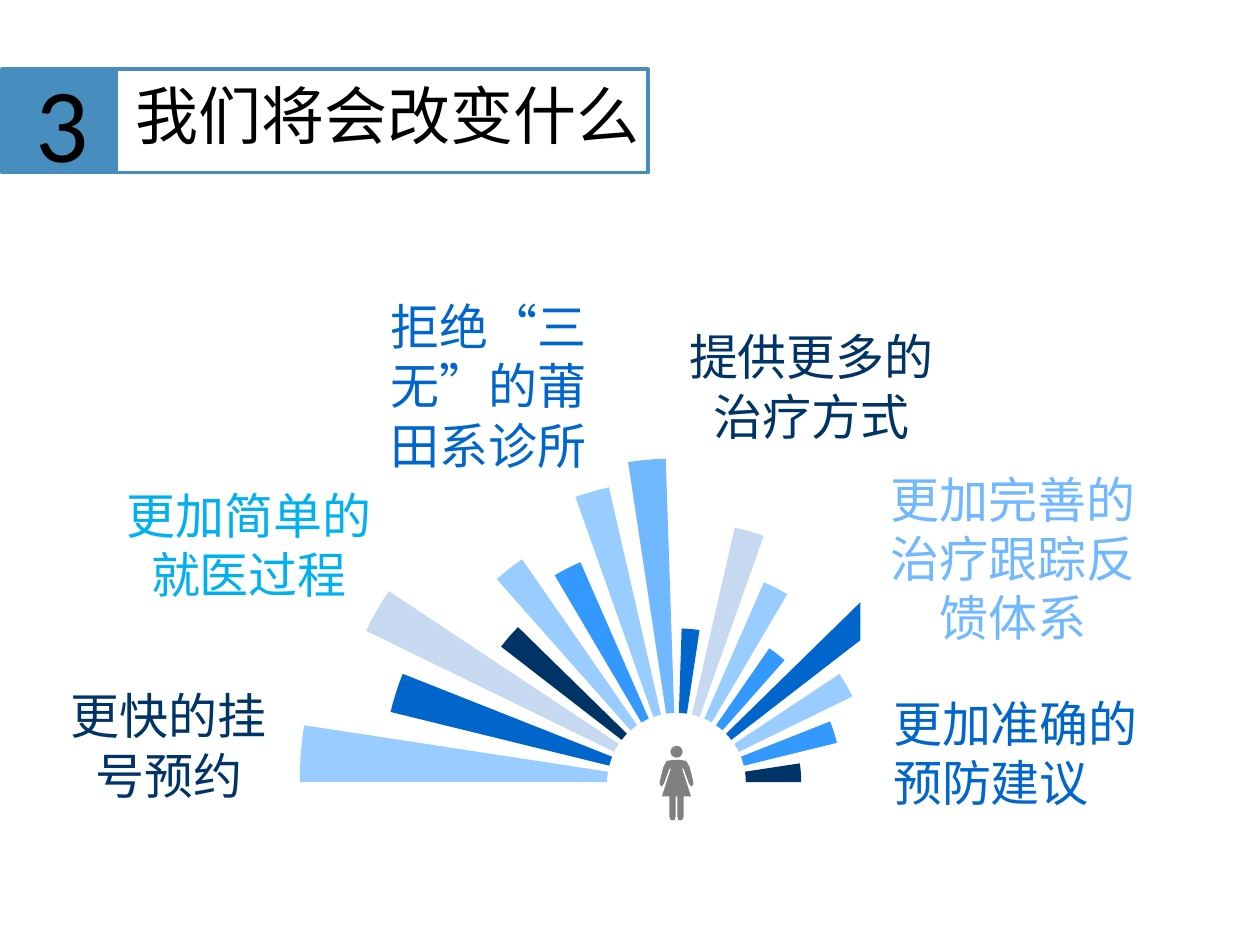
"""Build the slide on what will change, with a fan of rays around a figure."""
from math import cos, radians, sin

from lxml.etree import SubElement
from pptx import Presentation
from pptx.dml.color import RGBColor
from pptx.enum.shapes import MSO_SHAPE
from pptx.enum.text import PP_ALIGN
from pptx.oxml.ns import qn
from pptx.util import Pt

CJK = "Noto Sans CJK SC"
NAVY, BLUE, AZURE = "003366", "0066CC", "3399FF"
SKY, LIGHT, PALE = "70B8FF", "99CCFF", "C6D9F1"
CYAN, STEEL, GRAY, BLACK = "00B0F0", "478DBE", "808080", "000000"


def color(fmt, code):
    fmt.solid()
    fmt.fore_color.rgb = RGBColor.from_string(code)


def outline(points, code):
    dots = [(Pt(x), Pt(y)) for x, y in points]
    pen = shapes.build_freeform(*dots[0], scale=1.0)
    pen.add_line_segments(dots[1:], close=True)
    form = pen.convert_to_shape()
    form.shadow.inherit = False
    color(form.fill, code)
    form.line.fill.background()


deck = Presentation()
deck.slide_width, deck.slide_height = Pt(720), Pt(540)
slide = deck.slides.add_slide(deck.slide_layouts[6])
shapes = slide.shapes

for left, width, solid in [(1.4, 64.8, True), (56.9, 313.2, False)]:
    bar = shapes.add_shape(MSO_SHAPE.RECTANGLE, Pt(left), Pt(39.6), Pt(width), Pt(59))
    bar.shadow.inherit = False
    if solid:
        color(bar.fill, STEEL)
    else:
        bar.fill.background()
    color(bar.line.fill, STEEL)
    bar.line.width = Pt(2.25)

mid, base, inner, edge = 386.6, 447, 39.6, 105.1
spans = [(0, 8.7), (13.8, 21.6), (26, 33.6), (37.7, 44.4),
         (48.5, 55.3), (59.5, 66.4), (70.5, 77.1), (81.4, 88.1)]
spans += [(180 - end, 180 - start) for start, end in reversed(spans)]
rays = [(215.3, LIGHT), (168.3, BLUE), (197.4, PALE), (126.7, NAVY),
        (155, LIGHT), (137.2, AZURE), (172.9, LIGHT), (185, SKY),
        (87.9, BLUE), (149.3, PALE), (124.7, LIGHT), (93.1, AZURE),
        (150, BLUE), (111.8, LIGHT), (94.4, AZURE), (71.3, NAVY)]
for (start, end), (outer, code) in zip(spans, rays):
    turns = [radians(start + (end - start) * step / 4) for step in range(5)]
    ring = [(inner, turn) for turn in turns]
    ring += [(outer, turn) for turn in reversed(turns)]
    outline([(mid - max(size * cos(turn), -edge),
              base - size * sin(turn) * min(1, edge / max(-size * cos(turn), 1)))
             for size, turn in ring], code)

half = [(1.8, 434.2), (5.6, 434.8), (7.6, 438.5), (9.7, 447.2), (9.4, 448.7),
        (8.3, 449.3), (7.2, 447.8), (4, 439.2), (3.2, 439.2), (8.3, 455),
        (4.1, 455), (4.1, 466.6), (3.4, 468.4), (2.2, 468.8), (1, 468.4),
        (0.5, 466.6), (0.5, 455)]
outline([(mid + x, y) for x, y in half]
        + [(mid - x, y) for x, y in reversed(half)], GRAY)
head = shapes.add_shape(MSO_SHAPE.OVAL, Pt(mid - 3.5), Pt(426.2), Pt(7), Pt(6.8))
head.shadow.inherit = False
color(head.fill, GRAY)
head.line.fill.background()

left, center = PP_ALIGN.LEFT, PP_ALIGN.CENTER
texts = [
    ("我们将会改变什么", 70.6, 39.6, 306, 51.1, 36, CJK, BLACK, left),
    ("3", 13, 28.8, 46.8, 79.9, 60, "Calibri", BLACK, left),
    ("更快的挂号预约", 29.5, 388.1, 133.9, 74.9, 28, CJK, NAVY, center),
    ("提供更多的治疗方式", 383, 182.9, 161.3, 74.9, 28, CJK, NAVY, center),
    ("更加简单的就医过程", 57.6, 273.6, 169.2, 74.9, 28, CJK, CYAN, center),
    ("拒绝“三无”的莆田系诊所", 202.3, 165.6, 153.4, 109.4, 28, CJK, BLUE, center),
    ("更加完善的治疗跟踪反馈体系", 491.8, 264.2, 174.2, 108.7, 28, CJK, SKY, center),
    ("更加准确的预防建议", 503.3, 392.4, 157, 74.9, 28, CJK, BLUE, left),
]
for words, x, y, wide, high, size, face, code, align in texts:
    frame = shapes.add_textbox(Pt(x), Pt(y), Pt(wide), Pt(high)).text_frame
    frame.word_wrap = True
    para = frame.paragraphs[0]
    para.text = words
    para.alignment = align
    para.line_spacing = Pt(round(size * 1.21, 1))
    para.font.size = Pt(size)
    color(para.font.fill, code)
    para.font.name = face
    props = para._p.pPr.find(qn("a:defRPr"))
    SubElement(props, qn("a:ea")).set("typeface", face)

deck.save("out.pptx")
